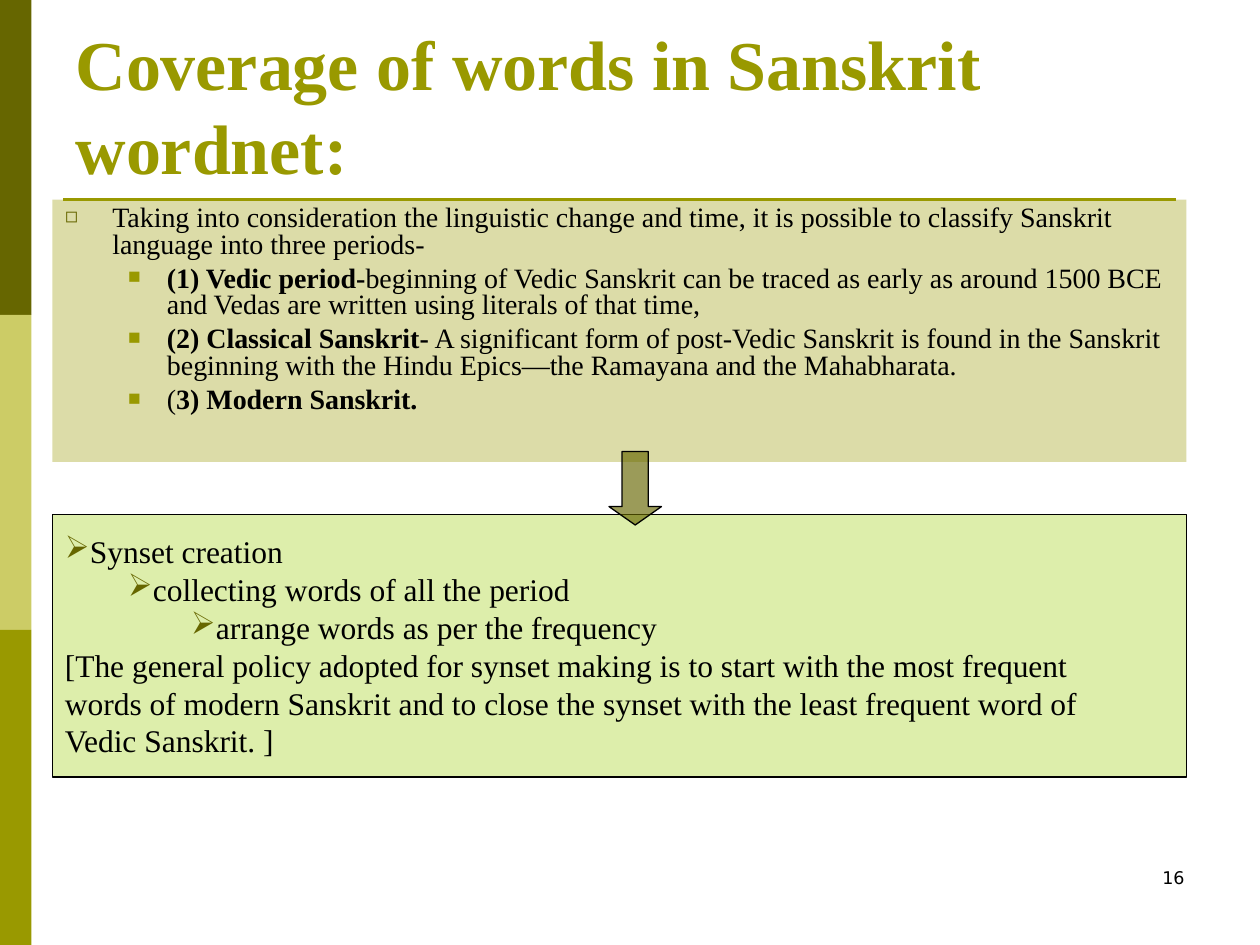
from dataclasses import dataclass

from lxml import etree
from pptx import Presentation
from pptx.dml.color import RGBColor
from pptx.enum.shapes import MSO_CONNECTOR, MSO_SHAPE
from pptx.enum.text import MSO_ANCHOR, MSO_AUTO_SIZE, PP_ALIGN
from pptx.oxml.ns import qn
from pptx.util import Pt

STRAIGHT = MSO_CONNECTOR.STRAIGHT
RECTANGLE, DOWN_ARROW = MSO_SHAPE.RECTANGLE, MSO_SHAPE.DOWN_ARROW
TOP, MIDDLE, BOTTOM = MSO_ANCHOR.TOP, MSO_ANCHOR.MIDDLE, MSO_ANCHOR.BOTTOM
LEFT, RIGHT = PP_ALIGN.LEFT, PP_ALIGN.RIGHT
FIXED_SIZE = MSO_AUTO_SIZE.NONE

EMU_PER_PX = 7620  # 120 px to the inch
SLIDE_WIDTH, SLIDE_HEIGHT = 1200, 900


@dataclass(frozen=True)
class Theme:
    dark: str = "666600"
    light: str = "CCCC66"
    olive: str = "999900"
    green: str = "99CC00"
    ink: str = "000000"
    serif: str = "Times New Roman"
    sans: str = "DejaVu Sans"
    title_size: int = 40
    body_size: int = 16
    box_size: int = 18
    number_size: int = 10


@dataclass(frozen=True)
class Bullet:
    character: str
    color: str
    percent: int = 100


def px(length):
    return length * EMU_PER_PX


class SlideBuilder:
    def __init__(self, slide, theme):
        self.slide = slide
        self.theme = theme

    def shape(self, kind, box, fill, opacity=100, outlined=False):
        shape = self.slide.shapes.add_shape(kind, *map(px, box))
        shape.shadow.inherit = False
        self.fill(shape, fill, opacity)
        if outlined:
            shape.line.color.rgb = RGBColor.from_string(self.theme.ink)
            shape.line.width = Pt(0.75)
        else:
            shape.line.fill.background()
        return shape

    def fill(self, shape, color, opacity=100):
        shape.fill.solid()
        shape.fill.fore_color.rgb = RGBColor.from_string(color)
        if opacity < 100:
            solid = shape.fill._xPr.find(qn("a:solidFill"))
            etree.SubElement(solid[0], qn("a:alpha"), val=str(opacity * 1000))

    def rule(self, left, right, y, color):
        line = self.slide.shapes.add_connector(STRAIGHT, px(left), px(y), px(right), px(y))
        line.line.color.rgb = RGBColor.from_string(color)
        line.line.width = Pt(1.5)
        etree.SubElement(line._element.spPr, qn("a:effectLst"))

    def placeholder(self, index, box, anchor):
        """Move a template placeholder and bring it to the front."""
        shape = self.slide.placeholders[index]
        shape.left, shape.top, shape.width, shape.height = map(px, box)
        self.slide.shapes._spTree.append(shape._element)
        self.frame(shape, anchor)
        return shape

    def text_box(self, box):
        shape = self.slide.shapes.add_textbox(*map(px, box))
        self.frame(shape, TOP)
        return shape

    def frame(self, shape, anchor, wrap=True):
        frame = shape.text_frame
        frame.word_wrap = wrap
        frame.auto_size = FIXED_SIZE
        frame.vertical_anchor = anchor

    def paragraph(self, shape, runs, size, color=None, font=None, bold=None,
                  align=LEFT, level=0, margin=0, indent=0, bullet=None):
        """Add a paragraph; runs is a list of (text, bold) pairs."""
        frame = shape.text_frame
        first = frame.paragraphs[0]
        paragraph = frame.add_paragraph() if first.runs else first
        paragraph.level = level
        paragraph.alignment = align
        properties = paragraph._p.get_or_add_pPr()
        properties.set("marL", str(px(margin)))
        properties.set("indent", str(px(indent)))
        self.bullet(properties, bullet)
        paragraph.font.size = Pt(size)
        paragraph.font.name = font or self.theme.serif
        paragraph.font.color.rgb = RGBColor.from_string(color or self.theme.ink)
        paragraph.font.bold = bold
        for text, run_bold in runs:
            run = paragraph.add_run()
            run.text = text
            if run_bold is not None:
                run.font.bold = run_bold
        return paragraph

    def bullet(self, properties, bullet):
        if bullet is None:
            etree.SubElement(properties, qn("a:buNone"))
            return
        color = etree.SubElement(properties, qn("a:buClr"))
        etree.SubElement(color, qn("a:srgbClr"), val=bullet.color)
        etree.SubElement(properties, qn("a:buSzPct"), val=str(bullet.percent * 1000))
        etree.SubElement(properties, qn("a:buChar"), char=bullet.character)


def main():
    theme = Theme()
    presentation = Presentation()
    presentation.slide_width, presentation.slide_height = px(SLIDE_WIDTH), px(SLIDE_HEIGHT)
    slide = presentation.slides.add_slide(presentation.slide_layouts[1])
    builder = SlideBuilder(slide, theme)

    # Side bands and title rule
    band_height = SLIDE_HEIGHT // 3
    for row, color in enumerate((theme.dark, theme.light, theme.olive)):
        builder.shape(RECTANGLE, (0, row * band_height, 30, band_height), color)
    builder.rule(60, 1120, 190, theme.olive)

    # Title
    title = builder.placeholder(0, (60, 36, 1080, 150), BOTTOM)
    builder.paragraph(title, [("Coverage of words in Sanskrit wordnet:", None)],
                      theme.title_size, theme.olive, bold=True)

    # Periods of the language
    periods = builder.placeholder(1, (50, 190, 1080, 250), TOP)
    builder.fill(periods, theme.olive, 34)
    outer = dict(margin=45, indent=-45, bullet=Bullet("◻", theme.dark, 75))
    inner = dict(level=1, margin=97, indent=-37, bullet=Bullet("■", theme.olive, 75))
    period_items = [
        (outer, [("Taking into consideration the linguistic change and time, it is possible "
                  "to classify Sanskrit language into three periods-", None)]),
        (inner, [("(1) Vedic period-", True),
                 ("beginning of Vedic Sanskrit can be traced as early as around 1500 BCE "
                  "and Vedas are written using literals of that time,", False)]),
        (inner, [("(2) Classical Sanskrit-", True),
                 (" A significant form of post-Vedic Sanskrit is found in the Sanskrit "
                  "beginning with the Hindu Epics—the Ramayana and the Mahabharata.", False)]),
        (inner, [("(", False), ("3) Modern Sanskrit.", True)]),
    ]
    for layout, runs in period_items:
        paragraph = builder.paragraph(periods, runs, theme.body_size, **layout)
        paragraph.line_spacing = 0.8
        paragraph.space_before = Pt(4)

    # Synset creation
    synset = builder.shape(RECTANGLE, (50, 490, 1080, 250), theme.green, 33, outlined=True)
    builder.frame(synset, MIDDLE, wrap=False)
    steps = ("Synset creation", "collecting words of all the period",
             "arrange words as per the frequency")
    for level, step in enumerate(steps):
        builder.paragraph(synset, [(step, None)], theme.box_size, level=level,
                          margin=level * 60, bullet=Bullet("➢", theme.dark))
    policy = (
        "[The general policy adopted for synset making is to start with the most frequent",
        "words of modern Sanskrit and to close the synset with the least frequent word of",
        "Vedic Sanskrit. ]",
    )
    for line in policy:
        builder.paragraph(synset, [(line, None)], theme.box_size)

    # Arrow between the two blocks
    arrow = builder.shape(DOWN_ARROW, (580, 430, 50, 70), theme.dark, 65, outlined=True)
    arrow.adjustments[0], arrow.adjustments[1] = 0.5, 0.35

    # Slide number
    number = builder.text_box((860, 820, 280, 60))
    builder.paragraph(number, [("16", None)], theme.number_size, font=theme.sans, align=RIGHT)

    presentation.save("out.pptx")


if __name__ == "__main__":
    main()
